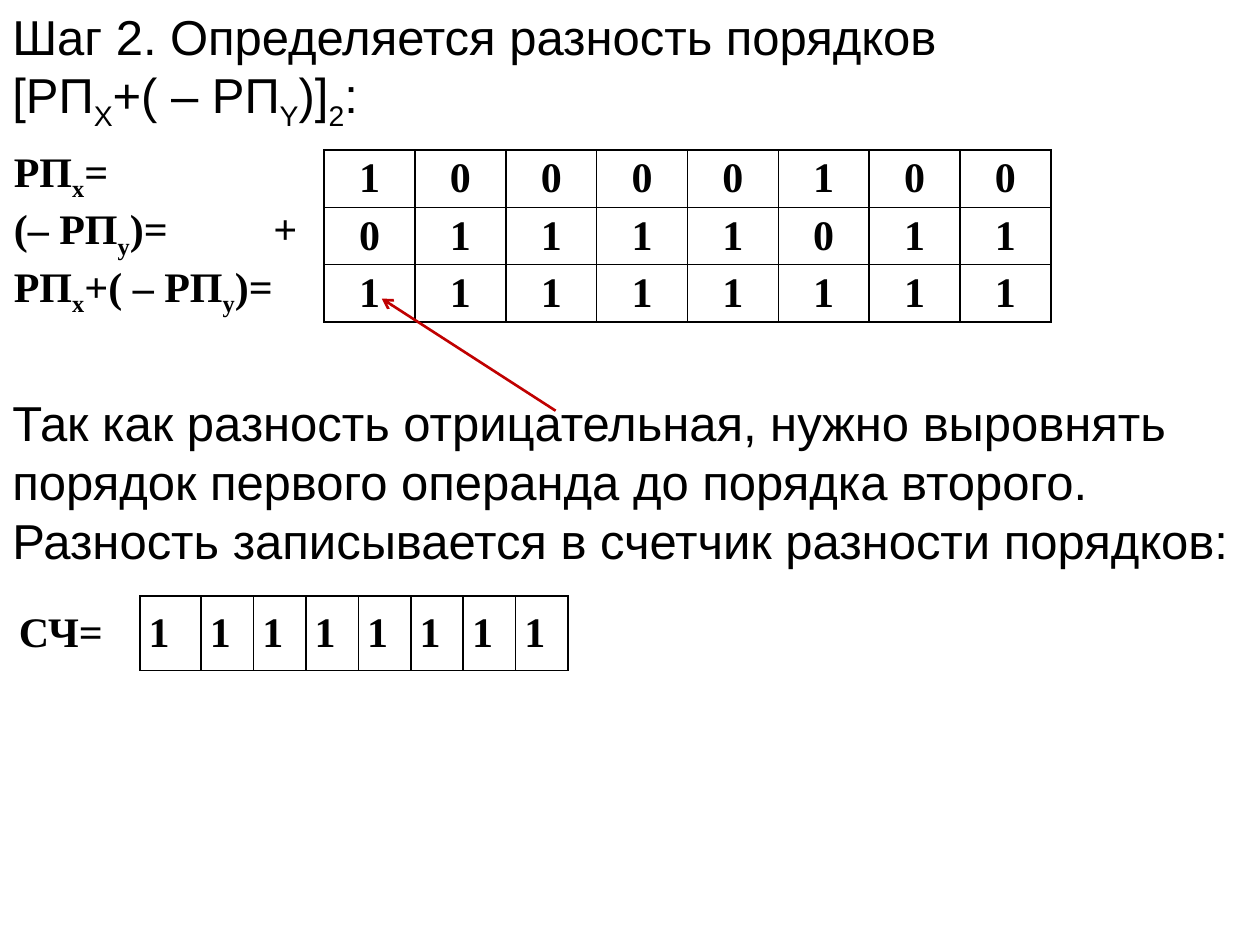
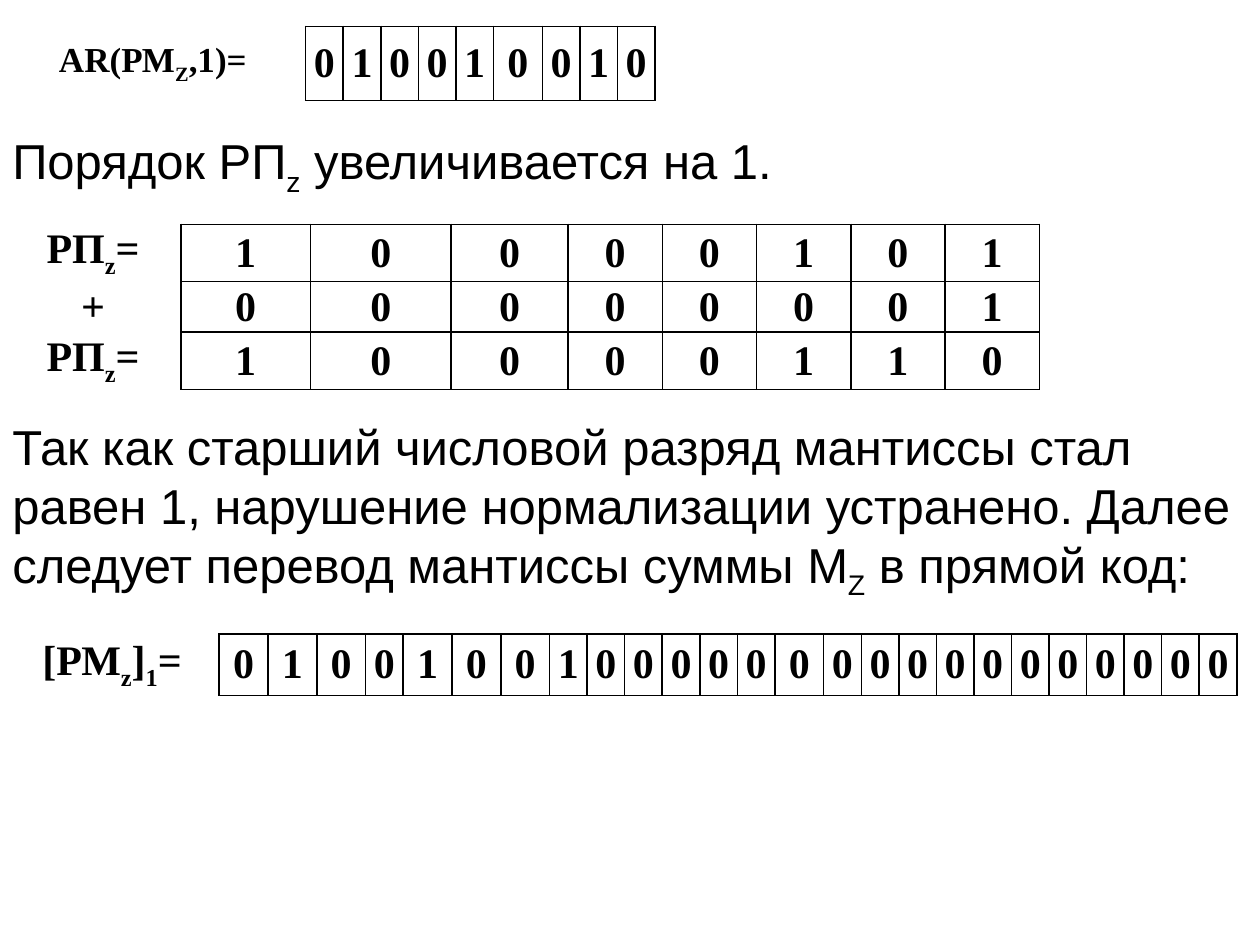
from lxml import etree
from pptx import Presentation
from pptx.dml.color import RGBColor
from pptx.enum.shapes import MSO_CONNECTOR
from pptx.enum.text import MSO_ANCHOR as Anchor, MSO_AUTO_SIZE as AutoSize, PP_ALIGN as Align
from pptx.oxml import parse_xml
from pptx.oxml.ns import nsdecls, qn
from pptx.util import Inches, Pt

BLACK = RGBColor(0x00, 0x00, 0x00)
RED = RGBColor(0xC0, 0x00, 0x00)
TEXT_FONT, TABLE_FONT = "Arial", "Times New Roman"
TEXT_SIZE, TABLE_SIZE = 28, 24
PLUS_TAB = 2.06

# Content: "_" turns the next character into a subscript.
# Texts: top, height, anchor, paragraphs.
# Tables: place, label and digits per row, relative column widths.
SLIDES = [
    {
        "texts": [
            (0, 1.04, Anchor.TOP, ["Шаг 2. Определяется разность порядков", "[РП_X+( – РП_Y)]_2:"]),
            (3.06, 1.51, Anchor.MIDDLE, [
                "Так как разность отрицательная, нужно выровнять порядок первого операнда "
                "до порядка второго. Разность записывается в счетчик разности порядков:"]),
        ],
        "tables": [
            {"left": 0.04, "top": 1.19, "width": 8.3, "row_height": 0.39,
             "columns": [2.53] + [0.72] * 8, "label_align": Align.LEFT, "label_anchor": Anchor.TOP,
             "rows": [("РП_х=", "10000100"),
                      ("(– РП_y)=\t+", "01111011"),
                      ("РП_х+( – РП_y)=", "11111111")]},
            {"left": 0.08, "top": 4.73, "width": 4.43, "row_height": 0.59,
             "columns": [1.04, 0.49] + [0.42] * 7,
             "label_align": Align.LEFT, "digit_align": Align.LEFT,
             "rows": [("СЧ=", "11111111")]},
        ],
        "arrows": [((4.41, 3.26), (3.03, 2.37))],
    },
    {
        "texts": [
            (0.99, 0.57, Anchor.TOP, ["Порядок РП_z увеличивается на 1."]),
            (3.26, 1.51, Anchor.TOP, [
                "Так как старший числовой разряд мантиссы стал равен 1, нарушение нормализации "
                "устранено. Далее следует перевод мантиссы суммы М_Z в прямой код:"]),
        ],
        "tables": [
            {"left": 0, "top": 0.21, "width": 5.2, "row_height": 0.59, "margin": 0.02,
             "columns": [2.44] + [0.3] * 5 + [0.39] + [0.3] * 3, "label_size": 20,
             "rows": [("AR(РМ_Z,1)=", "010010010")]},
            {"left": 0.04, "top": 1.78, "width": 8.21, "row_height": 0.3,
             "columns": [1.4, 1.03, 1.12, 0.93] + [0.75] * 5,
             "rows": [("РП_z=", "10000101"), ("+", "00000001"), ("РП_z=", "10000110")]},
            {"left": 0.04, "top": 5.03, "width": 9.78, "row_height": 0.49, "margin": 0.04,
             "columns": [1.71] + [0.39] * 3 + [0.3] + [0.39] * 3 + [0.3] * 6 + [0.39] + [0.3] * 11,
             "rows": [("[РМ_z]_1=", "01001001" + "0" * 17)]},
        ],
        "arrows": [],
    },
]


def write_runs(para, text, font, size, bold=False):
    """Fill a paragraph, lowering each character marked by an underscore."""
    para.font.name, para.font.size, para.font.bold = font, Pt(size), bold
    para.font.color.rgb = BLACK
    first, *marked = text.split("_")
    pieces = [(first, False)]
    for part in marked:
        pieces += [(part[0], True), (part[1:], False)]
    for piece, lowered in pieces:
        if piece:
            span = para.add_run()
            span.text = piece
            if lowered:
                span.font._element.set("baseline", "-25000")


def add_text(page, top, height, anchor, paragraphs):
    box = page.shapes.add_textbox(0, Inches(top), Inches(10), Inches(height))
    frame = box.text_frame
    frame.word_wrap = True
    frame.auto_size = AutoSize.SHAPE_TO_FIT_TEXT
    frame.vertical_anchor = anchor
    for index, text in enumerate(paragraphs):
        para = frame.add_paragraph() if index else frame.paragraphs[0]
        write_runs(para, text, TEXT_FONT, TEXT_SIZE)


def set_borders(cell, visible):
    """Draw thin black lines on the visible sides and none on the others."""
    properties = cell._tc.get_or_add_tcPr()
    for index, side in enumerate("LRTB"):
        paint = f'<a:solidFill><a:srgbClr val="{BLACK}"/></a:solidFill>' if side in visible else "<a:noFill/>"
        properties.insert(index, parse_xml(f'<a:ln{side} {nsdecls("a")} w="12700">{paint}</a:ln{side}>'))


def fill_cell(cell, text, align, anchor, size, margin, borders):
    cell.margin_left = cell.margin_right = Inches(margin)
    cell.margin_top = cell.margin_bottom = 0
    cell.vertical_anchor = anchor
    cell.fill.background()
    set_borders(cell, borders)
    para = cell.text_frame.paragraphs[0]
    para.alignment = align
    para.space_after = Pt(3)
    if "\t" in text:
        stops = etree.SubElement(para._p.get_or_add_pPr(), qn("a:tabLst"))
        etree.SubElement(stops, qn("a:tab"), pos=str(Inches(PLUS_TAB)), algn="l")
    write_runs(para, text, TABLE_FONT, size, bold=True)


def add_digit_table(page, item):
    rows, columns = item["rows"], item["columns"]
    height = item["row_height"]
    table = page.shapes.add_table(
        len(rows), len(columns), Inches(item["left"]), Inches(item["top"]),
        Inches(item["width"]), Inches(height * len(rows))).table
    table.first_row = table.horz_banding = False
    scale = item["width"] / sum(columns)
    for column, width in zip(table.columns, columns):
        column.width = Inches(width * scale)
    margin = item.get("margin", 0.07)
    for index, (label, digits) in enumerate(rows):
        table.rows[index].height = Inches(height)
        fill_cell(table.cell(index, 0), label, item.get("label_align", Align.CENTER),
                  item.get("label_anchor", Anchor.MIDDLE), item.get("label_size", TABLE_SIZE), margin, "R")
        for position, digit in enumerate(digits, start=1):
            fill_cell(table.cell(index, position), digit, item.get("digit_align", Align.CENTER),
                      Anchor.MIDDLE, TABLE_SIZE, margin, "LRTB")


def add_arrow(page, start, end):
    arrow = page.shapes.add_connector(MSO_CONNECTOR.STRAIGHT, *map(Inches, start + end))
    arrow.line.color.rgb = RED
    arrow.line.width = Pt(1.5)
    etree.SubElement(arrow.line._get_or_add_ln(), qn("a:tailEnd"), type="arrow")
    etree.SubElement(arrow._element.spPr, qn("a:effectLst"))


def main():
    deck = Presentation()
    deck.slide_width, deck.slide_height = Inches(10), Inches(7.5)
    for content in SLIDES:
        page = deck.slides.add_slide(deck.slide_layouts[6])
        for text in content["texts"]:
            add_text(page, *text)
        for item in content["tables"]:
            add_digit_table(page, item)
        for start, end in content["arrows"]:
            add_arrow(page, start, end)
    deck.save("out.pptx")


if __name__ == "__main__":
    main()
